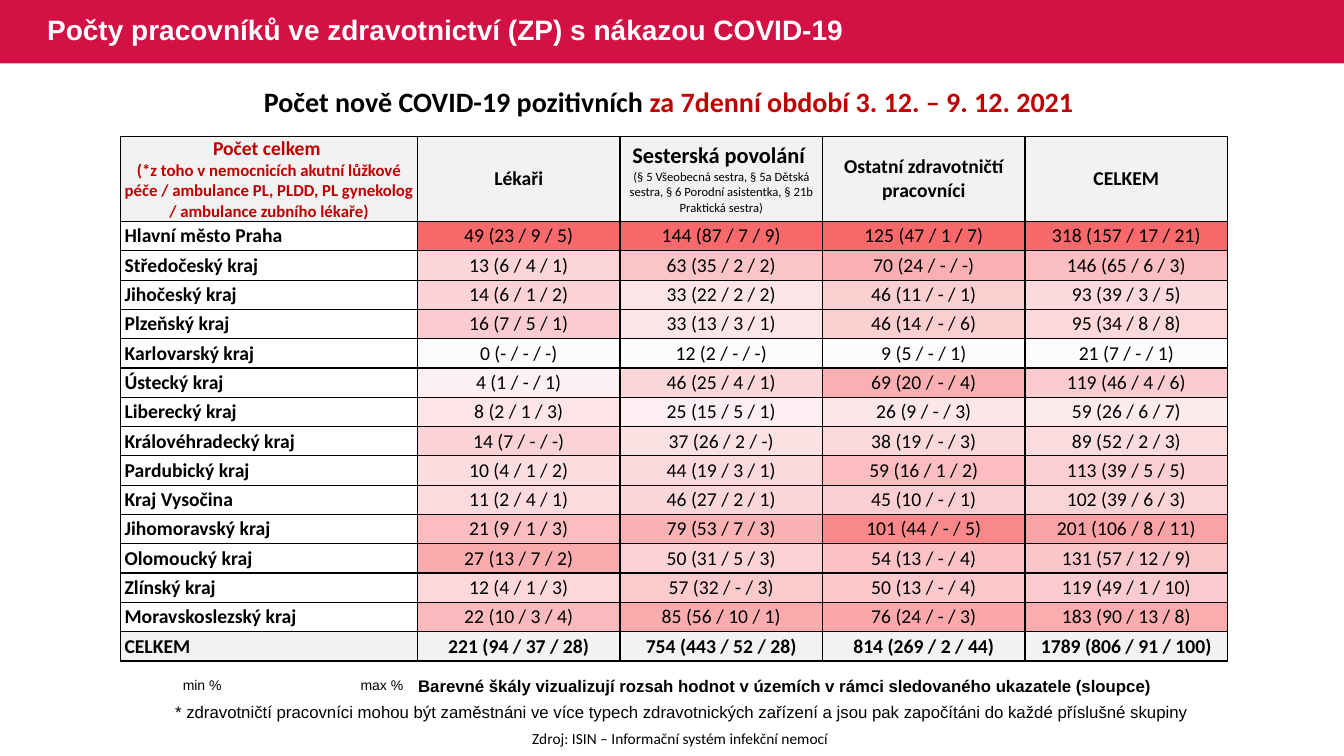
from math import ceil

from lxml.etree import SubElement
from pptx import Presentation
from pptx.dml.color import RGBColor
from pptx.enum.shapes import MSO_SHAPE
from pptx.enum.text import MSO_ANCHOR, PP_ALIGN
from pptx.oxml.ns import qn
from pptx.util import Pt

RED, BLACK, GREY = "C00000", "000000", "F2F2F2"
LOW, HIGH = (252, 252, 255), (248, 105, 107)
LEFT, TOP, FIRST, WIDE, HEAD, HIGH_ROW = 86.2, 97.4, 212, 144.7, 60.9, 20.93
HEADS = [
    [("Počet celkem ", 14, True, RED),
     ("(*z toho v nemocnicích akutní lůžkové péče / ambulance PL, PLDD, "
      "PL gynekolog / ambulance zubního lékaře)", 12, True, RED)],
    [("Lékaři", 14, True, BLACK)],
    [("Sesterská povolání ", 16, True, BLACK),
     ("(§ 5 Všeobecná sestra, § 5a Dětská sestra, § 6 Porodní asistentka, "
      "§ 21b Praktická sestra)", 9, False, BLACK)],
    [("Ostatní zdravotničtí pracovníci", 14, True, BLACK)],
    [("CELKEM", 14, True, BLACK)],
]
ROWS = [
    ("Hlavní město Praha", "49 (23 / 9 / 5)", "144 (87 / 7 / 9)", "125 (47 / 1 / 7)", "318 (157 / 17 / 21)"),
    ("Středočeský kraj", "13 (6 / 4 / 1)", "63 (35 / 2 / 2)", "70 (24 / - / -)", "146 (65 / 6 / 3)"),
    ("Jihočeský kraj", "14 (6 / 1 / 2)", "33 (22 / 2 / 2)", "46 (11 / - / 1)", "93 (39 / 3 / 5)"),
    ("Plzeňský kraj", "16 (7 / 5 / 1)", "33 (13 / 3 / 1)", "46 (14 / - / 6)", "95 (34 / 8 / 8)"),
    ("Karlovarský kraj", "0 (- / - / -)", "12 (2 / - / -)", "9 (5 / - / 1)", "21 (7 / - / 1)"),
    ("Ústecký kraj", "4 (1 / - / 1)", "46 (25 / 4 / 1)", "69 (20 / - / 4)", "119 (46 / 4 / 6)"),
    ("Liberecký kraj", "8 (2 / 1 / 3)", "25 (15 / 5 / 1)", "26 (9 / - / 3)", "59 (26 / 6 / 7)"),
    ("Královéhradecký kraj", "14 (7 / - / -)", "37 (26 / 2 / -)", "38 (19 / - / 3)", "89 (52 / 2 / 3)"),
    ("Pardubický kraj", "10 (4 / 1 / 2)", "44 (19 / 3 / 1)", "59 (16 / 1 / 2)", "113 (39 / 5 / 5)"),
    ("Kraj Vysočina", "11 (2 / 4 / 1)", "46 (27 / 2 / 1)", "45 (10 / - / 1)", "102 (39 / 6 / 3)"),
    ("Jihomoravský kraj", "21 (9 / 1 / 3)", "79 (53 / 7 / 3)", "101 (44 / - / 5)", "201 (106 / 8 / 11)"),
    ("Olomoucký kraj", "27 (13 / 7 / 2)", "50 (31 / 5 / 3)", "54 (13 / - / 4)", "131 (57 / 12 / 9)"),
    ("Zlínský kraj", "12 (4 / 1 / 3)", "57 (32 / - / 3)", "50 (13 / - / 4)", "119 (49 / 1 / 10)"),
    ("Moravskoslezský kraj", "22 (10 / 3 / 4)", "85 (56 / 10 / 1)", "76 (24 / - / 3)", "183 (90 / 13 / 8)"),
]
TOTAL = ("CELKEM", "221 (94 / 37 / 28)", "754 (443 / 52 / 28)", "814 (269 / 2 / 44)", "1789 (806 / 91 / 100)")
LINES = [*ROWS, TOTAL]


def paint(target, color):
    """Give a fill or a font a hex colour, or clear a fill."""
    if not color:
        target.background()
    elif hasattr(target, "solid"):
        target.solid()
        target.fore_color.rgb = RGBColor.from_string(color)
    else:
        target.color.rgb = RGBColor.from_string(color)


def style(par, size, bold, color, face="Calibri"):
    """Format every run of a paragraph."""
    for run in par.runs:
        run.font.size, run.font.bold, run.font.name = Pt(size), bold, face
        paint(run.font, color)


def add_bar(slide, box, color):
    """Draw a plain filled rectangle."""
    bar = slide.shapes.add_shape(MSO_SHAPE.RECTANGLE, *map(Pt, box))
    bar.shadow.inherit = False
    bar.line.fill.background()
    paint(bar.fill, color)


def add_note(slide, box, text, size, bold=False, color=BLACK, face="Arial",
             align=PP_ALIGN.LEFT, anchor=MSO_ANCHOR.TOP):
    """Add a wrapped text box and return its paragraph."""
    frame = slide.shapes.add_textbox(*map(Pt, box)).text_frame
    frame.word_wrap = True
    frame.vertical_anchor = anchor
    frame.text = text
    par = frame.paragraphs[0]
    par.alignment = align
    style(par, size, bold, color, face)
    return par


def add_key(slide, box, text, stop):
    """Add the scale key with its second label at a tab stop."""
    par = add_note(slide, box, text, 10)
    tabs = SubElement(par._p.get_or_add_pPr(), qn("a:tabLst"))
    SubElement(tabs, qn("a:tab"), pos=str(Pt(stop)), algn="l")


def edge(cell):
    """Draw thin black borders around a cell."""
    props = cell._tc.get_or_add_tcPr()
    for side in ("lnL", "lnR", "lnT", "lnB"):
        line = SubElement(props, qn("a:" + side), w=str(Pt(1)))
        fill = SubElement(line, qn("a:solidFill"))
        SubElement(fill, qn("a:srgbClr"), val=BLACK)


def inset(cell, side):
    """Set the side margins of a cell and drop the others."""
    cell.margin_left = cell.margin_right = Pt(side)
    cell.margin_top = cell.margin_bottom = 0


def fill_cell(cell, parts, color, align=PP_ALIGN.CENTER, side=2.8):
    """Write styled paragraphs into a bordered cell."""
    edge(cell)
    paint(cell.fill, color)
    inset(cell, side)
    cell.vertical_anchor = MSO_ANCHOR.MIDDLE
    cell.text = "\n".join(part[0] for part in parts)
    for par, part in zip(cell.text_frame.paragraphs, parts):
        par.alignment = align
        style(par, *part[1:])


def count(text):
    """Read the leading number of a value."""
    return int(text.split()[0])


def shade(text, col):
    """Return the colour of a value on its column's scale."""
    nums = [count(row[col]) for row in ROWS]
    part = (count(text) - min(nums)) / (max(nums) - min(nums))
    return "".join(f"{ceil(a + (b - a) * part):02X}" for a, b in zip(LOW, HIGH))


def add_grid(slide, left, top, wides, highs):
    """Add an unstyled table with the given column and row sizes."""
    box = map(Pt, (left, top, sum(wides), sum(highs)))
    grid = slide.shapes.add_table(len(highs), len(wides), *box).table
    grid.first_row = grid.horz_banding = False
    for col, wide in zip(grid.columns, wides):
        col.width = Pt(wide)
    for row, high in zip(grid.rows, highs):
        row.height = Pt(high)
    return grid


def add_heat(slide):
    """Add the colour scale table that lies under the values."""
    grid = add_grid(slide, LEFT + FIRST, TOP + HEAD, [WIDE] * 4, [HIGH_ROW] * len(LINES))
    for i, line in enumerate(LINES):
        for j, text in enumerate(line[1:], 1):
            cell = grid.cell(i, j - 1)
            inset(cell, 0.7)
            SubElement(cell.text_frame.paragraphs[0]._p, qn("a:endParaRPr"), sz="1400")
            edge(cell)
            paint(cell.fill, None if line is TOTAL else shade(text, j))


def add_counts(slide):
    """Add the table of regions and job groups."""
    grid = add_grid(slide, LEFT, TOP, [FIRST] + [WIDE] * 4, [HEAD] + [HIGH_ROW] * len(LINES))
    for i, parts in enumerate(HEADS):
        fill_cell(grid.cell(0, i), parts, GREY)
    for i, line in enumerate(LINES, 1):
        last = line is TOTAL
        color = GREY if last else None
        fill_cell(grid.cell(i, 0), [(line[0], 14, True, BLACK)], color, PP_ALIGN.LEFT)
        for j, text in enumerate(line[1:], 1):
            fill_cell(grid.cell(i, j), [(text, 14, last, BLACK)], color, side=0.7)


def main():
    """Build the slide and save it."""
    deck = Presentation()
    deck.slide_width, deck.slide_height = Pt(960), Pt(540)
    slide = deck.slides.add_slide(deck.slide_layouts[6])
    add_bar(slide, (0, 0, 960, 45.4), "D31145")
    add_heat(slide)
    add_note(slide, (235.4, 517, 501, 20.6), "Zdroj: ISIN – Informační systém infekční nemocí", 11,
             face="Calibri", align=PP_ALIGN.CENTER)
    title = add_note(slide, (26.6, 0, 619.2, 45.4), "Počty pracovníků ve zdravotnictví (ZP) s nákazou COVID-19",
                     20, True, "FFFFFF", anchor=MSO_ANCHOR.MIDDLE)
    title.line_spacing = 0.9
    add_counts(slide)
    head = add_note(slide, (48, 57, 864, 31.5), "Počet nově COVID-19 pozitivních ", 20, True,
                    face="Calibri", align=PP_ALIGN.CENTER)
    dates = head.add_run()
    dates.text = "za 7denní období 3. 12. – 9. 12. 2021 "
    style(head, 20, True, BLACK)
    paint(dates.font, RED)
    add_note(slide, (291.6, 478.8, 556, 21.8),
             "Barevné škály vizualizují rozsah hodnot v územích v rámci sledovaného ukazatele (sloupce)", 12, True)
    add_note(slide, (118, 497.5, 740, 21.8),
             "* zdravotničtí pracovníci mohou být zaměstnáni ve více typech zdravotnických zařízení "
             "a jsou pak započítáni do každé příslušné skupiny", 12)
    add_key(slide, (123.5, 479.5, 180, 20), "min %\tmax %", 127)
    deck.save("out.pptx")


if __name__ == "__main__":
    main()
